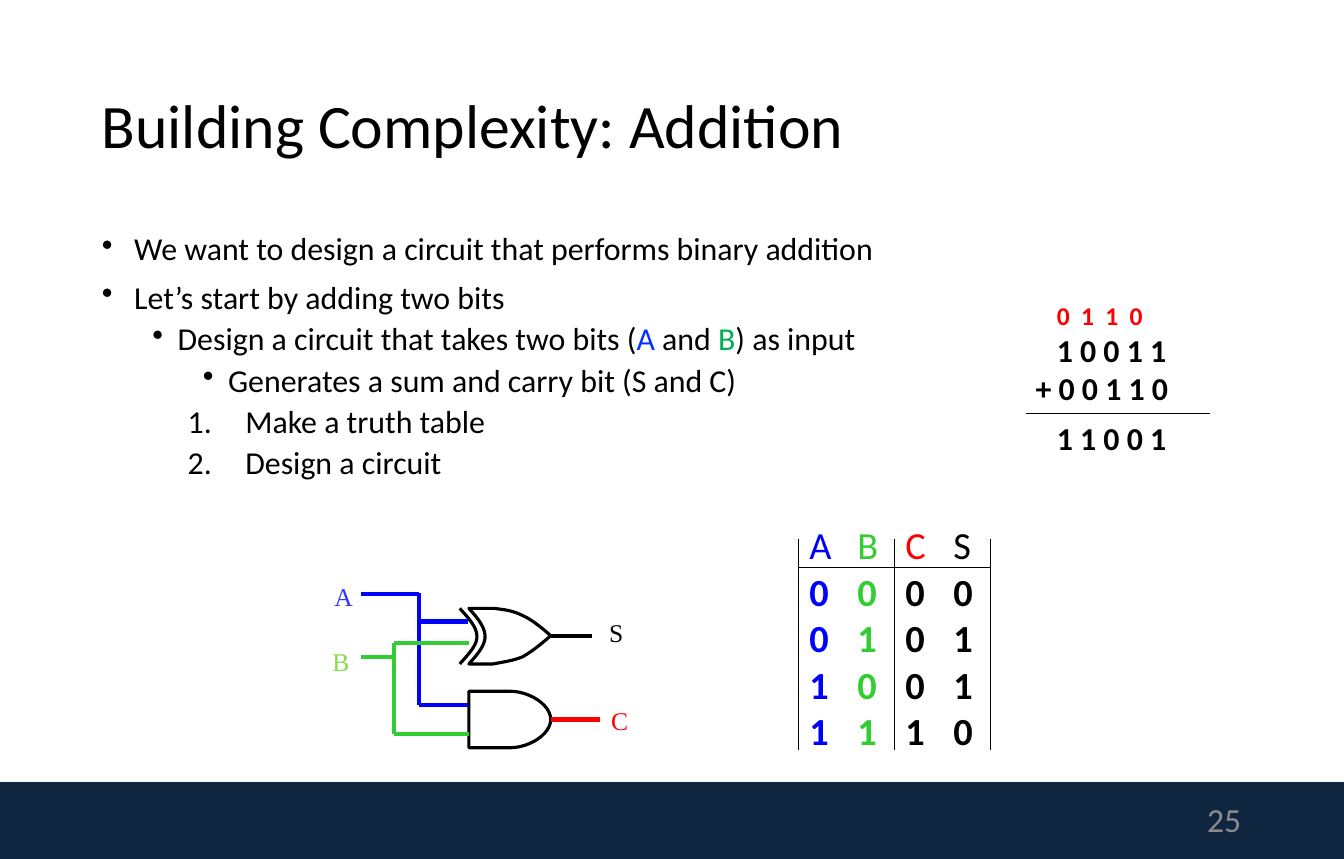
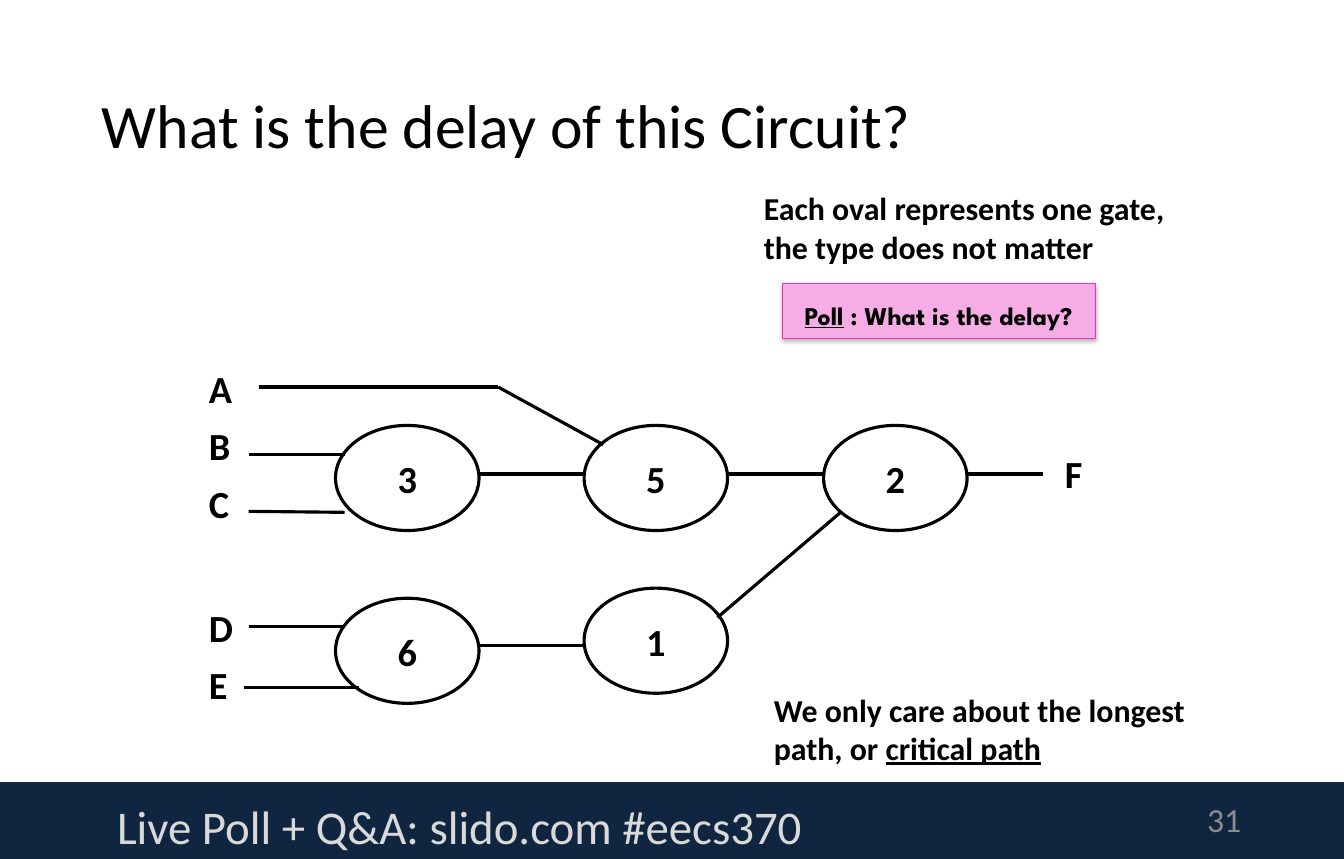
"""Build two slides on binary addition and circuit delay."""
from lxml.etree import SubElement
from pptx import Presentation
from pptx.dml.color import RGBColor
from pptx.enum.shapes import MSO_CONNECTOR, MSO_SHAPE
from pptx.enum.text import MSO_ANCHOR, PP_ALIGN
from pptx.oxml.ns import qn
from pptx.util import Inches, Pt

BLACK = RGBColor(0x00, 0x00, 0x00)
WHITE = RGBColor(0xFF, 0xFF, 0xFF)
NAVY = RGBColor(0x10, 0x25, 0x3F)
GRAY = RGBColor(0x8C, 0x8C, 0x8C)
LIGHT_GRAY = RGBColor(0xD9, 0xD9, 0xD9)
BLUE = RGBColor(0x00, 0x00, 0xFF)
GREEN = RGBColor(0x33, 0xCC, 0x33)
RED = RGBColor(0xFF, 0x00, 0x00)
BIT_BLUE = RGBColor(0x04, 0x32, 0xFF)
BIT_GREEN = RGBColor(0x00, 0xB0, 0x50)
LABEL_BLUE = RGBColor(0x33, 0x33, 0xFF)
LABEL_GREEN = RGBColor(0x89, 0xDB, 0x4B)
PINK = RGBColor(0xF6, 0xAD, 0xE5)
MAGENTA = RGBColor(0xE8, 0x33, 0xBF)


def add_text(s, x, y, w, h, paragraphs, size=22.7, color=BLACK, bold=False, font="Calibri",
             align=PP_ALIGN.LEFT, anchor=MSO_ANCHOR.TOP, spacing=None, before=0,
             shape=None, fill=None, line=None, width=0.75, shadow=None):
    box = [Inches(v) for v in (x, y, w, h)]
    if shape is None:
        sp = s.shapes.add_textbox(*box)
    else:
        sp = s.shapes.add_shape(shape, *box)
        sp.shadow.inherit = False
        if fill is None:
            sp.fill.background()
        else:
            sp.fill.solid()
            sp.fill.fore_color.rgb = fill
        if line is None:
            sp.line.fill.background()
        else:
            sp.line.color.rgb = line
            sp.line.width = Pt(width)
    if shadow:
        tint, alpha, blur, dist = shadow
        effects = sp._element.spPr.find(qn("a:effectLst"))
        outer = SubElement(effects, qn("a:outerShdw"), blurRad=str(Pt(blur)),
                           dist=str(Pt(dist)), dir="5400000", rotWithShape="0")
        clr = SubElement(outer, qn("a:srgbClr"), val=str(tint))
        SubElement(clr, qn("a:alpha"), val=str(alpha * 1000))
    tf = sp.text_frame
    tf.word_wrap = True
    tf.vertical_anchor = anchor
    for i, runs in enumerate(paragraphs):
        p = tf.add_paragraph() if i else tf.paragraphs[0]
        p.alignment = align
        if spacing:
            p.line_spacing = spacing
        if i and before:
            p.space_before = Pt(before)
        for text, style in [(runs, {})] if isinstance(runs, str) else runs:
            r = p.add_run()
            r.text = text
            r.font.name = font
            r.font.size = Pt(size)
            r.font.bold = bold
            r.font.color.rgb = style.get("color", color)
            r.font.underline = style.get("underline", False)
    return tf


def add_line(s, x1, y1, x2, y2, color=BLACK, width=2.25):
    ln = s.shapes.add_connector(MSO_CONNECTOR.STRAIGHT, *[Inches(v) for v in (x1, y1, x2, y2)])
    ln.line.color.rgb = color
    ln.line.width = Pt(width)
    SubElement(ln._element.spPr, qn("a:effectLst"))


prs = Presentation()
prs.slide_width = Inches(13.3)
prs.slide_height = Inches(8.5)

slides = []
for title, number in [("Building Complexity: Addition", "25"),
                      ("What is the delay of this Circuit?", "31")]:
    s = prs.slides.add_slide(prs.slide_layouts[6])
    s.background.fill.solid()
    s.background.fill.fore_color.rgb = WHITE
    add_text(s, 0, 7.74, 13.3, 0.76, [], shape=MSO_SHAPE.RECTANGLE, fill=NAVY,
             shadow=(GRAY, 35, 3.1, 1.8))
    add_text(s, 0.91, 0.45, 11.47, 1.64, [title], size=44, spacing=0.9, anchor=MSO_ANCHOR.MIDDLE)
    add_text(s, 9.39, 7.88, 2.99, 0.45, [number], size=24, color=GRAY,
             align=PP_ALIGN.RIGHT, anchor=MSO_ANCHOR.MIDDLE)
    slides.append(s)
addition, delay = slides

tf = add_text(addition, 0.91, 2.26, 11.47, 2.7, [
    "We want to design a circuit that performs binary addition",
    "Let’s start by adding two bits",
    [("Design a circuit that takes two bits (", {}), ("A", {"color": BIT_BLUE}), (" and ", {}),
     ("B", {"color": BIT_GREEN}), (") as input", {})],
    "Generates a sum and carry bit (S and C)",
    "Make a truth table",
    "Design a circuit",
], spacing=0.9, before=5)
tf.paragraphs[1].space_before = Pt(10)
bullets = [(0.32, 0.32, "•"), (0.32, 0.32, "•"), (0.75, 0.25, "•"), (1.25, 0.25, "•"),
           (1.42, 0.57, None), (1.42, 0.57, None)]
for p, (left, hang, char) in zip(tf.paragraphs, bullets):
    pPr = p._p.get_or_add_pPr()
    pPr.set("marL", str(Inches(left)))
    pPr.set("indent", str(-Inches(hang)))
    if char:
        SubElement(pPr, qn("a:buChar"), char=char)
    else:
        SubElement(pPr, qn("a:buAutoNum"), type="arabicPeriod")

tf = add_text(addition, 10.36, 2.92, 1.4, 0.41, ["0\t1\t1\t0"], size=18.2, color=RED, bold=True)
tabs = SubElement(tf.paragraphs[0]._p.get_or_add_pPr(), qn("a:tabLst"))
for i in range(1, 4):
    SubElement(tabs, qn("a:tab"), pos=str(Inches(0.24 * i)), algn="l")
for x, y, digits in [(10.36, 3.22, "1 0 0 1 1"), (10.15, 3.6, "+ 0 0 1 1 0"),
                     (10.36, 4.09, "1 1 0 0 1")]:
    add_text(addition, x, y, 1.89, 0.48, [digits], bold=True)
add_line(addition, 10.15, 4.09, 11.97, 4.09, width=0.75)

rows = ["ABCS", "0000", "0101", "1001", "1110"]
colors = [BLUE, GREEN, BLACK, BLACK]
table = addition.shapes.add_table(5, 4, Inches(7.9), Inches(5.18), Inches(1.9), Inches(2.3)).table
table.first_row = table.horz_banding = False
for col in table.columns:
    col.width = Inches(0.475)
for i, row in enumerate(rows):
    table.rows[i].height = Inches(0.46)
    for j, value in enumerate(row):
        cell = table.cell(i, j)
        cell.fill.background()
        cell.margin_left = Inches(0.11)
        cell.margin_right = cell.margin_top = cell.margin_bottom = 0
        r = cell.text_frame.paragraphs[0].add_run()
        r.text = value
        r.font.name = "Calibri"
        r.font.size = Pt(27.3)
        r.font.bold = i > 0
        r.font.color.rgb = RED if value == "C" else colors[j]
for x in (7.9, 8.85, 9.8):
    add_line(addition, x, 5.33, x, 7.42, width=0.75)
add_line(addition, 7.9, 5.62, 9.8, 5.62, width=0.75)

and_gate = [[(5.04, 6.84)], [(5.25, 6.84), (5.45, 6.98), (5.45, 7.12)],
            [(5.45, 7.26), (5.25, 7.4), (5.04, 7.4)], [(4.64, 7.4)], [(4.64, 6.84)]]
xor_gate = [[(4.64, 6.57)], [(4.88, 6.57)],
            [(4.98, 6.55), (5.07, 6.54), (5.17, 6.5)], [(5.26, 6.45), (5.36, 6.37), (5.45, 6.29)],
            [(5.36, 6.21), (5.26, 6.13), (5.17, 6.09)], [(5.07, 6.04), (4.98, 6.03), (4.88, 6.02)],
            [(4.64, 6.02)],
            [(4.72, 6.11), (4.8, 6.2), (4.8, 6.3)], [(4.8, 6.39), (4.72, 6.48), (4.64, 6.57)]]
xor_arc = [[(4.55, 6.02)], [(4.63, 6.11), (4.72, 6.2), (4.72, 6.3)],
           [(4.72, 6.39), (4.63, 6.48), (4.55, 6.57)]]
for outline, closed in [(and_gate, True), (xor_gate, True), (xor_arc, False)]:
    points = []
    for segment in outline:
        if len(segment) == 1:
            points.append(segment[0])
            continue
        curve = [points[-1]] + segment
        for step in range(1, 13):
            t = step / 12
            weights = ((1 - t) ** 3, 3 * t * (1 - t) ** 2, 3 * t * t * (1 - t), t ** 3)
            points.append(tuple(sum(k * pt[axis] for k, pt in zip(weights, curve))
                                for axis in (0, 1)))
    points = [(Inches(x), Inches(y)) for x, y in points]
    builder = addition.shapes.build_freeform(*points[0])
    builder.add_line_segments(points[1:], close=closed)
    sp = builder.convert_to_shape()
    sp.shadow.inherit = False
    sp.fill.background()
    sp.line.color.rgb = BLACK
    sp.line.width = Pt(2.25)

wires = [
    (BLUE, [(3.57, 5.88, 4.15, 5.88), (4.15, 6.98, 4.15, 5.87),
            (4.15, 6.98, 4.63, 6.98), (4.15, 6.15, 4.63, 6.15)]),
    (GREEN, [(3.57, 6.5, 3.9, 6.5), (3.9, 7.26, 3.9, 6.36),
             (4.64, 6.36, 3.9, 6.36), (4.64, 7.26, 3.9, 7.26)]),
    (BLACK, [(5.45, 6.29, 5.86, 6.29)]),
    (RED, [(5.45, 7.12, 5.94, 7.12)]),
]
for color, parts in wires:
    for part in parts:
        add_line(addition, *part, color=color, width=3)
for x, y, name, color in [(3.21, 5.7, "A", LABEL_BLUE), (3.19, 6.34, "B", LABEL_GREEN),
                          (5.93, 6.06, "S", BLACK), (5.95, 6.93, "C", RED)]:
    add_text(addition, x, y, 0.45, 0.42, [name], size=18.2, color=color, font="Times New Roman")

for x, y, gate in [(3.32, 4.21, "3"), (3.32, 5.92, "6"), (5.78, 4.21, "5"),
                   (5.78, 5.82, "1"), (8.15, 4.21, "2")]:
    add_text(delay, x, y, 1.42, 1.04, [gate], size=27.3, bold=True, align=PP_ALIGN.CENTER,
             anchor=MSO_ANCHOR.MIDDLE, shape=MSO_SHAPE.OVAL, line=BLACK, width=2.25)
for wire in [(2.56, 3.83, 4.93, 3.83), (4.93, 3.83, 5.97, 4.4),
             (2.46, 4.5, 3.41, 4.5), (2.46, 5.06, 3.41, 5.07),
             (2.46, 6.2, 3.41, 6.2), (2.41, 6.8, 3.55, 6.8),
             (4.74, 4.69, 5.78, 4.69), (4.74, 6.39, 5.78, 6.39),
             (7.2, 4.69, 8.15, 4.69), (7.1, 6.11, 8.33, 5.06), (9.57, 4.69, 10.32, 4.69)]:
    add_line(delay, *wire)
for x, y, name in [(1.97, 3.56, "A"), (1.97, 4.13, "B"), (1.97, 4.7, "C"),
                   (1.97, 5.93, "D"), (1.97, 6.49, "E"), (10.44, 4.41, "F")]:
    add_text(delay, x, y, 0.5, 0.58, [name], size=27.3, bold=True)

add_text(delay, 7.46, 1.82, 4.31, 0.88,
         ["Each oval represents one gate,", "the type does not matter"], bold=True)
add_text(delay, 7.74, 2.81, 3.1, 0.54,
         [[("Poll", {"underline": True}), (" : What is the delay?", {})]],
         size=18.2, bold=True, font="League Spartan", align=PP_ALIGN.CENTER,
         anchor=MSO_ANCHOR.MIDDLE, spacing=1.25, shape=MSO_SHAPE.RECTANGLE,
         fill=PINK, line=MAGENTA, shadow=(BLACK, 25, 3, 2))
add_text(delay, 7.56, 6.78, 4.29, 0.88,
         [[("We only care about the longest path, or ", {}),
           ("critical path", {"underline": True})]], bold=True)
add_text(delay, 1.06, 7.84, 8.65, 0.66, ["Live Poll + Q&A: slido.com #eecs370"],
         size=33.4, color=LIGHT_GRAY)

prs.save("out.pptx")
